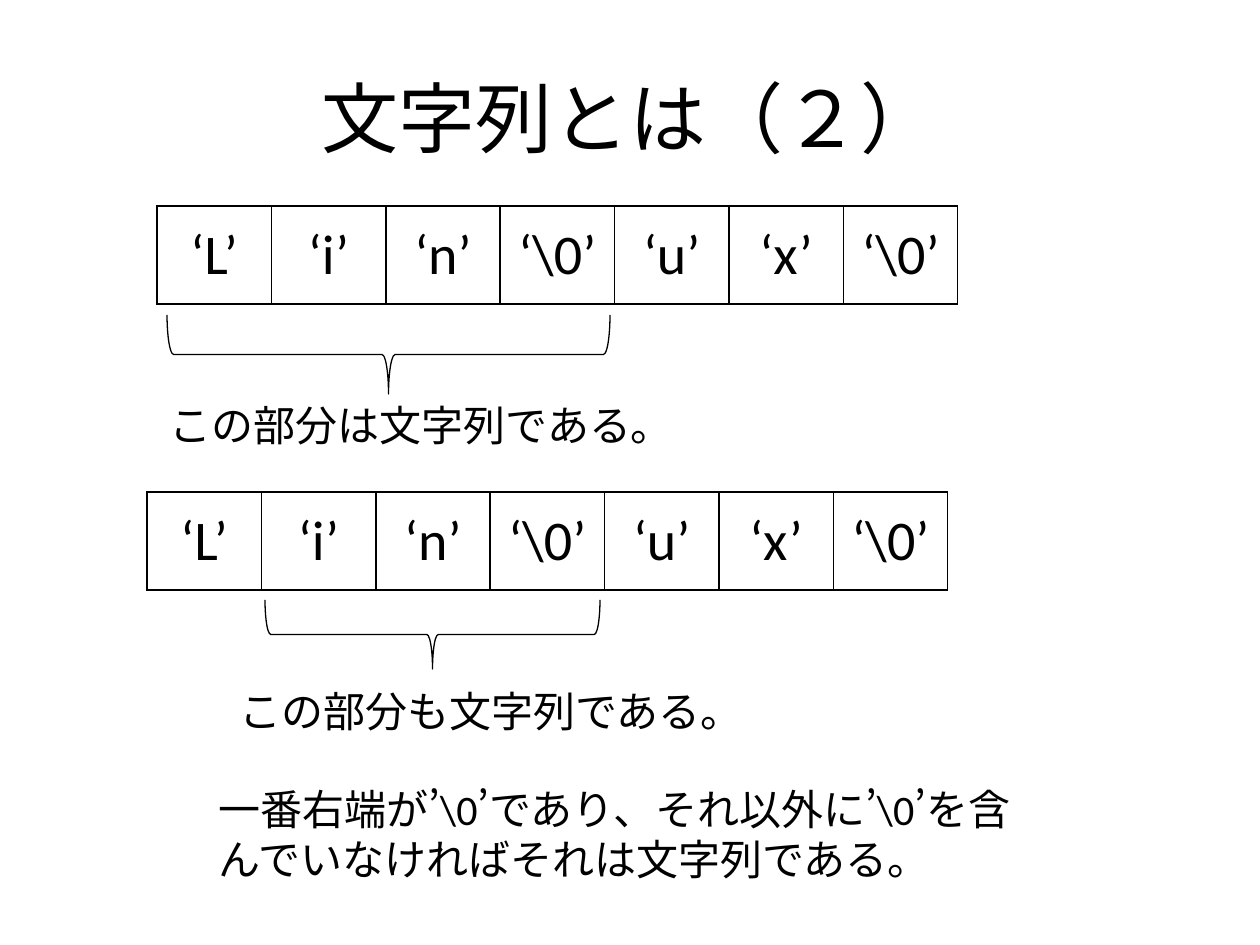
import pptx
import pptx.util
import pptx.dml.color
import pptx.enum.lang
import pptx.enum.shapes
import pptx.enum.text
import pptx.oxml
import pptx.oxml.ns

PX = 914400 / 126
ALIGN = pptx.enum.text.PP_ALIGN
ANCHOR = pptx.enum.text.MSO_ANCHOR
BLACK = "000000"


def px(length):
    return pptx.util.Emu(round(length * PX))


def color(value):
    return pptx.dml.color.RGBColor.from_string(value)


class Painter:
    font = "Calibri"

    def __init__(self, page):
        self.page = page

    def style(self, para, size, align):
        para.alignment = align
        for span in para.runs:
            span.font.name = self.font
            span.font.size = pptx.util.Pt(size)
            span.font.color.rgb = color(BLACK)
            span.font.language_id = pptx.enum.lang.MSO_LANGUAGE_ID.JAPANESE

    def text(self, left, top, width, height, words, size=24,
             align=ALIGN.LEFT, anchor=ANCHOR.TOP, wrap=True):
        box = self.page.shapes.add_textbox(px(left), px(top), px(width), px(height))
        frame = box.text_frame
        frame.word_wrap = wrap
        frame.vertical_anchor = anchor
        frame.text = words
        self.style(frame.paragraphs[0], size, align)

    def border(self, cell):
        props = cell._tc.get_or_add_tcPr()
        for index, side in enumerate(("lnL", "lnR", "lnT", "lnB")):
            line = pptx.oxml.parse_xml(
                f'<a:{side} {pptx.oxml.ns.nsdecls("a")} w="12700"><a:solidFill>'
                f'<a:srgbClr val="{BLACK}"/></a:solidFill></a:{side}>')
            props.insert(index, line)

    def array(self, left, top, width, height, letters):
        table = self.page.shapes.add_table(
            1, len(letters), px(left), px(top), px(width), px(height)).table
        table.first_row = table.horz_banding = False
        for column, cell, letter in zip(table.columns, table.rows[0].cells, letters):
            column.width = px(width / len(letters))
            cell.text = f"‘{letter}’"
            cell.vertical_anchor = ANCHOR.MIDDLE
            cell.fill.background()
            self.style(cell.text_frame.paragraphs[0], 32, ALIGN.CENTER)
            self.border(cell)

    def brace_below(self, left, top, width, depth):
        # A right brace turned a quarter: its own box is depth wide, width high
        shift = (width - depth) / 2
        brace = self.page.shapes.add_shape(
            pptx.enum.shapes.MSO_SHAPE.RIGHT_BRACE,
            px(left + shift), px(top - shift), px(depth), px(width))
        brace.rotation = 90
        brace.shadow.inherit = False
        brace.fill.background()
        brace.line.color.rgb = color(BLACK)
        brace.line.width = pptx.util.Pt(0.75)


def main():
    deck = pptx.Presentation()
    deck.slide_width, deck.slide_height = px(1260), px(945)
    painter = Painter(deck.slides.add_slide(deck.slide_layouts[6]))
    letters = ["L", "i", "n", "\\0", "u", "x", "\\0"]

    # Title
    painter.text(63, 38, 1134, 157, "文字列とは（２）", 44, ALIGN.CENTER, ANCHOR.MIDDLE)

    # Whole string up to the first terminator
    painter.array(157, 206, 801, 98, letters)
    painter.text(157, 393, 499, 63, "この部分は文字列である。", wrap=False)
    painter.brace_below(167, 315, 443, 79)

    # Tail of the same string
    painter.array(147, 492, 801, 98, letters)
    painter.text(227, 679, 491, 63, "この部分も文字列である。", wrap=False)
    painter.brace_below(265, 600, 335, 69)

    # Conclusion
    painter.text(206, 777, 837, 115,
                 "一番右端が’\\0’であり、それ以外に’\\0’を含んでいなければそれは文字列である。")

    deck.save("out.pptx")


if __name__ == "__main__":
    main()
